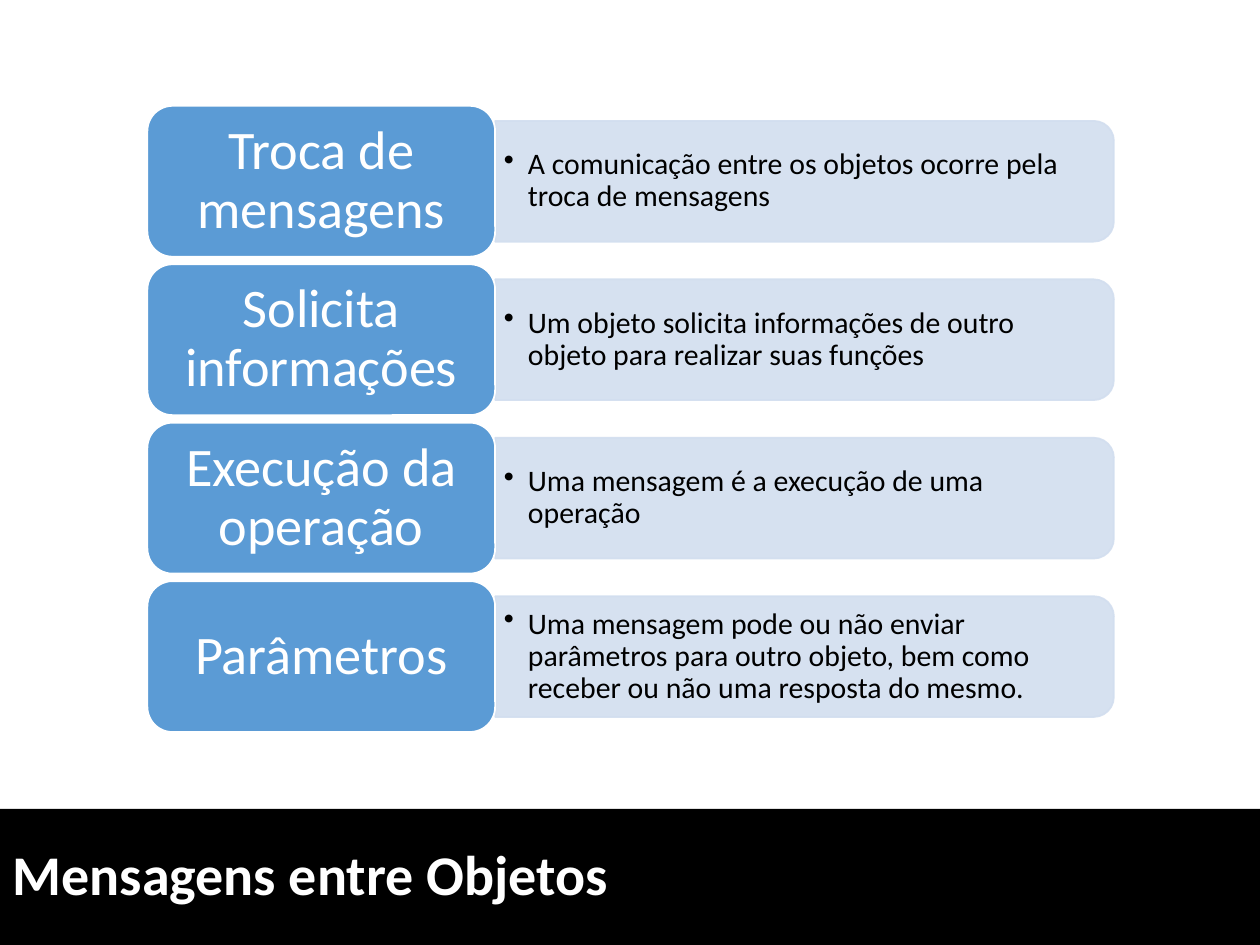
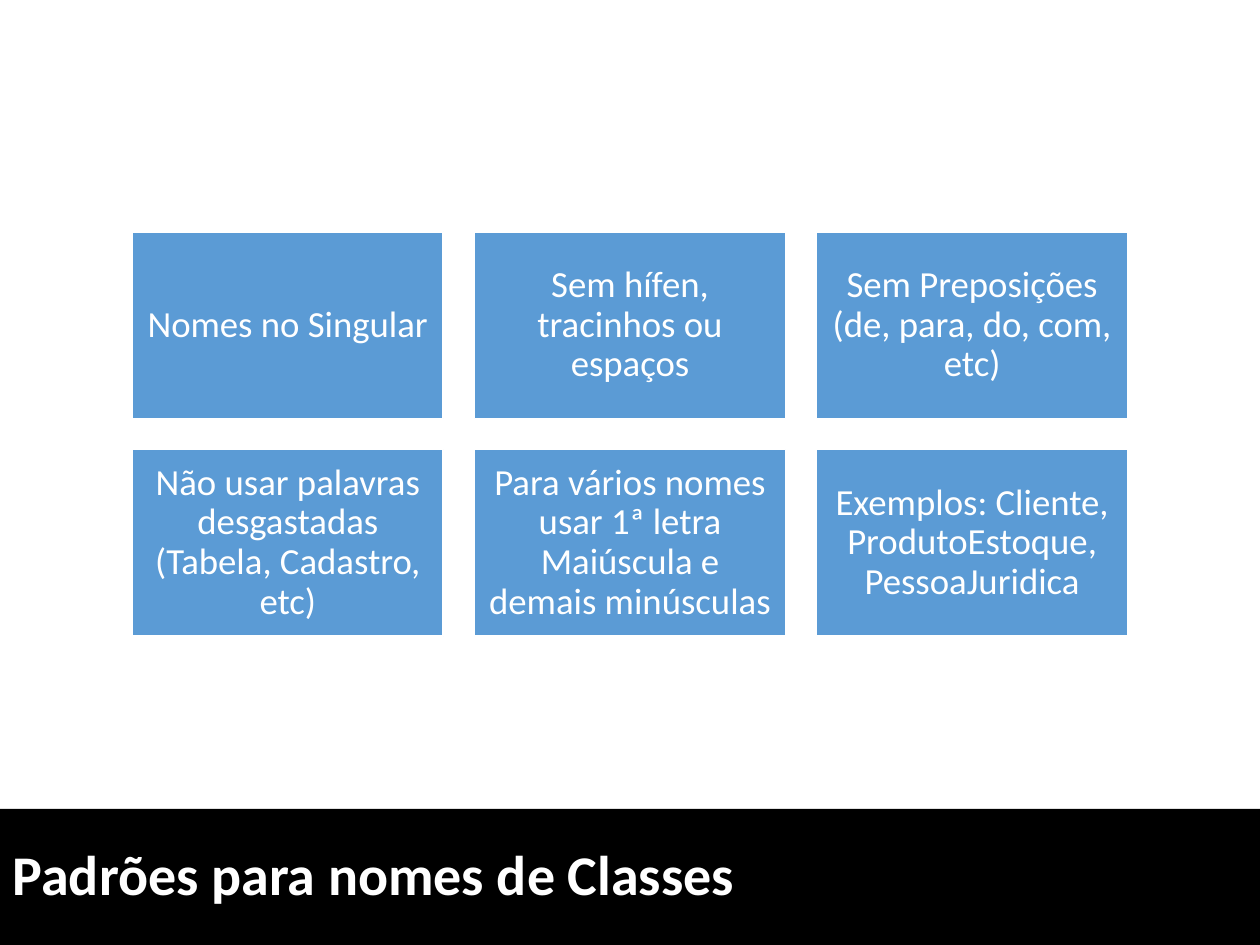
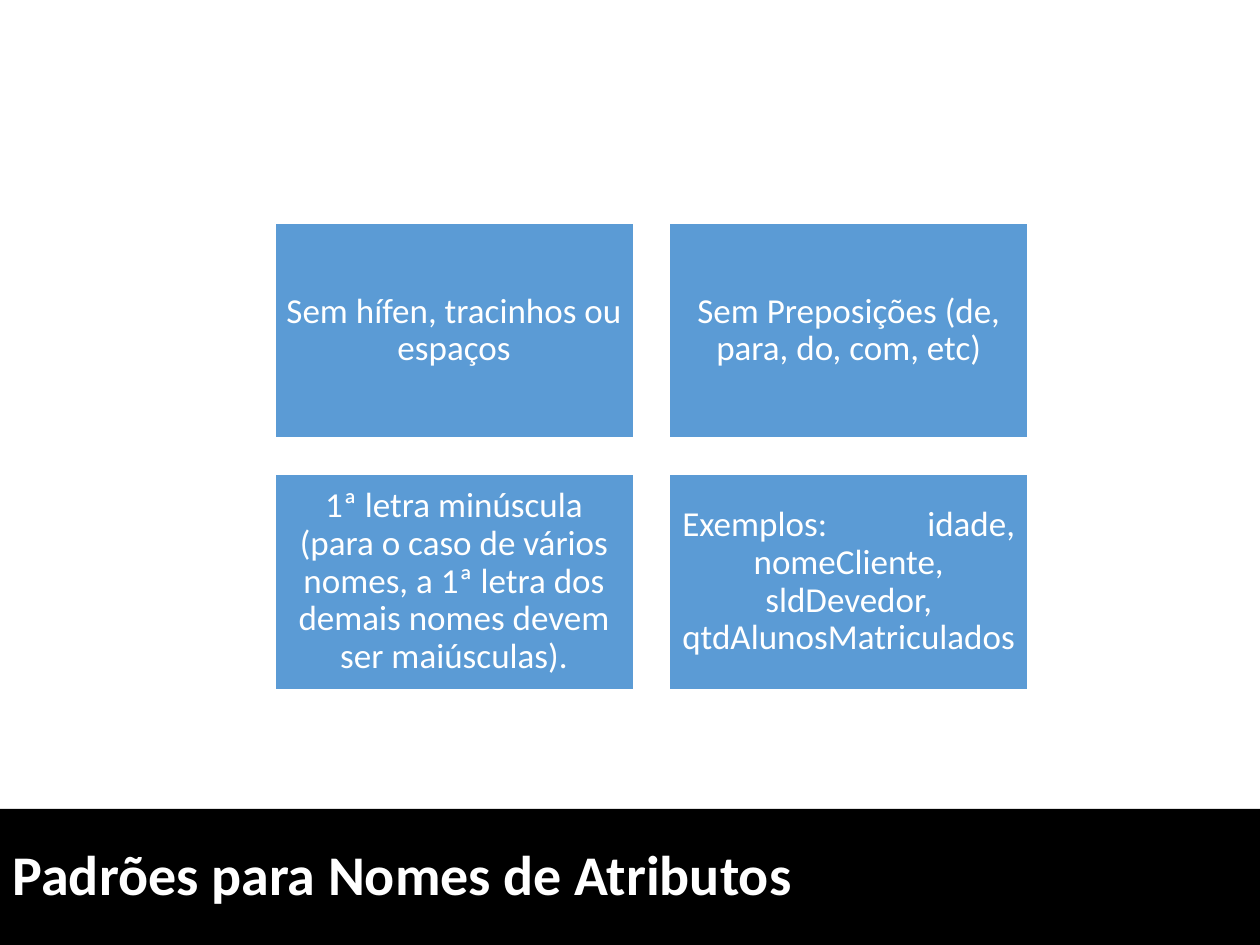
from lxml import etree
from pptx import Presentation
from pptx.dml.color import RGBColor
from pptx.enum.shapes import MSO_SHAPE
from pptx.enum.text import MSO_ANCHOR, MSO_AUTO_SIZE, PP_ALIGN
from pptx.oxml.ns import qn
from pptx.util import Emu, Inches, Pt

RECT, CARD = MSO_SHAPE.RECTANGLE, MSO_SHAPE.ROUNDED_RECTANGLE
PANEL = MSO_SHAPE.ROUND_2_SAME_RECTANGLE
LEFT, CENTER, MIDDLE = PP_ALIGN.LEFT, PP_ALIGN.CENTER, MSO_ANCHOR.MIDDLE

# Content
MESSAGES_TITLE = "Mensagens entre Objetos"
MESSAGES = [
    ("Troca de mensagens",
     "A comunicação entre os objetos ocorre pela troca de mensagens"),
    ("Solicita informações",
     "Um objeto solicita informações de outro objeto para realizar suas funções"),
    ("Execução da operação",
     "Uma mensagem é a execução de uma operação"),
    ("Parâmetros",
     "Uma mensagem pode ou não enviar parâmetros para outro objeto, "
     "bem como receber ou não uma resposta do mesmo."),
]
NO_HYPHEN = "Sem hífen, tracinhos ou espaços"
NO_PREPOSITION = "Sem Preposições (de, para, do, com, etc)"
RULE_SLIDES = [
    {"title": "Padrões para nomes de Classes",
     "columns": 3, "left": 1.05, "top": 1.84, "size": 21, "inset": 0.09,
     "rules": ["Nomes no Singular", NO_HYPHEN, NO_PREPOSITION,
               "Não usar palavras desgastadas (Tabela, Cadastro, etc)",
               "Para vários nomes usar 1ª letra Maiúscula e demais minúsculas",
               "Exemplos: Cliente, ProdutoEstoque, PessoaJuridica"]},
    {"title": "Padrões para Nomes de Atributos",
     "columns": 2, "left": 2.18, "top": 1.77, "size": 20, "inset": 0.08,
     "rules": [NO_HYPHEN, NO_PREPOSITION,
               "1ª letra minúscula (para o caso de vários nomes, a 1ª letra "
               "dos demais nomes devem ser maiúsculas).",
               "Exemplos:\tidade, nomeCliente, sldDevedor, qtdAlunosMatriculados"]},
]
GRID_WIDTHS = {3: 7.9, 2: 5.98}

# Shared style
FONT = "Calibri"
COLORS = {"band": "000000", "card": "5B9BD5", "panel": "D2DEEF",
          "light": "FFFFFF", "dark": "000000"}
PANEL_OPACITY = 90

deck = Presentation()
deck.slide_width, deck.slide_height = Inches(10), Inches(7.5)
TITLE_ONLY = deck.slide_layouts[5]


def rgb(name):
    return RGBColor.from_string(COLORS[name])


def place(box):
    return [Inches(length) for length in box]


def write(shape, text, size, color, inset, align=CENTER, bold=False):
    frame = shape.text_frame
    frame.text = text
    frame.word_wrap = True
    frame.auto_size = MSO_AUTO_SIZE.NONE
    frame.vertical_anchor = MIDDLE
    frame.margin_left = frame.margin_right = Inches(inset[0])
    frame.margin_top = frame.margin_bottom = Inches(inset[1])
    paragraph = frame.paragraphs[0]
    paragraph.alignment = align
    paragraph.line_spacing = 0.9
    font = paragraph.runs[0].font
    font.name, font.size, font.bold = FONT, Pt(size), bold
    font.color.rgb = rgb(color)
    return paragraph


def add_block(slide, kind, box, fill, line):
    block = slide.shapes.add_shape(kind, *place(box))
    block.shadow.inherit = False
    block.fill.solid()
    block.fill.fore_color.rgb = rgb(fill)
    block.line.color.rgb = rgb(line)
    block.line.width = Pt(1)
    return block


def add_titled_slide(title):
    slide = deck.slides.add_slide(TITLE_ONLY)
    band = slide.shapes.title
    band.left, band.top, band.width, band.height = place((0, 6.42, 10, 1.08))
    band.fill.solid()
    band.fill.fore_color.rgb = rgb("band")
    write(band, title, 32, "light", (0.1, 0.05), LEFT, bold=True)
    return slide


def add_panel(slide, left, top, width, height, text):
    # The preset rounds its top corners, so a quarter turn rounds the right ones
    turned = (left + (width - height) / 2, top - (width - height) / 2,
              height, width)
    panel = add_block(slide, PANEL, turned, "panel", "panel")
    panel.rotation = 90
    for color in panel._element.spPr.iter(qn("a:srgbClr")):
        etree.SubElement(color, qn("a:alpha"), val=str(PANEL_OPACITY * 1000))

    note = slide.shapes.add_textbox(*place((left, top, width - 0.05, height)))
    paragraph = write(note, text, 17, "dark", (0.07, 0.04), LEFT)
    properties = paragraph._p.get_or_add_pPr()
    indent = Inches(0.19)
    properties.set("marL", str(indent))
    properties.set("indent", str(-indent))
    etree.SubElement(properties, qn("a:buChar"), char="•")


# Messages: one card and one panel a row
slide = add_titled_slide(MESSAGES_TITLE)
ROWS_LEFT, ROWS_TOP, ROWS_HEIGHT = 1.17, 0.84, 4.97
CARD_WIDTH, PANEL_WIDTH, ROW_GAP, PANEL_SHARE = 2.76, 4.91, 0.05, 0.8
count = len(MESSAGES)
card_height = ROWS_HEIGHT / (count + (count - 1) * ROW_GAP)
panel_height = card_height * PANEL_SHARE
for row, (heading, detail) in enumerate(MESSAGES):
    top = ROWS_TOP + row * card_height * (1 + ROW_GAP)
    add_panel(slide, ROWS_LEFT + CARD_WIDTH,
              top + (card_height - panel_height) / 2,
              PANEL_WIDTH, panel_height, detail)
    card = add_block(slide, CARD, (ROWS_LEFT, top, CARD_WIDTH, card_height),
                     "card", "light")
    write(card, heading, 31, "light", (0.13, 0.06))

# Naming rules: a grid whose gaps and heights follow the cell width
CELL_GAP, CELL_RATIO, TAB = 0.1, 0.6, Emu(889000)
for page in RULE_SLIDES:
    slide = add_titled_slide(page["title"])
    columns = page["columns"]
    width = GRID_WIDTHS[columns] / (columns + (columns - 1) * CELL_GAP)
    height, gap = width * CELL_RATIO, width * CELL_GAP
    for index, rule in enumerate(page["rules"]):
        row, column = divmod(index, columns)
        box = (page["left"] + column * (width + gap),
               page["top"] + row * (height + gap), width, height)
        cell = add_block(slide, RECT, box, "card", "light")
        paragraph = write(cell, rule, page["size"], "light",
                          (page["inset"], page["inset"]))
        paragraph._p.get_or_add_pPr().set("defTabSz", str(TAB))

deck.save("out.pptx")
